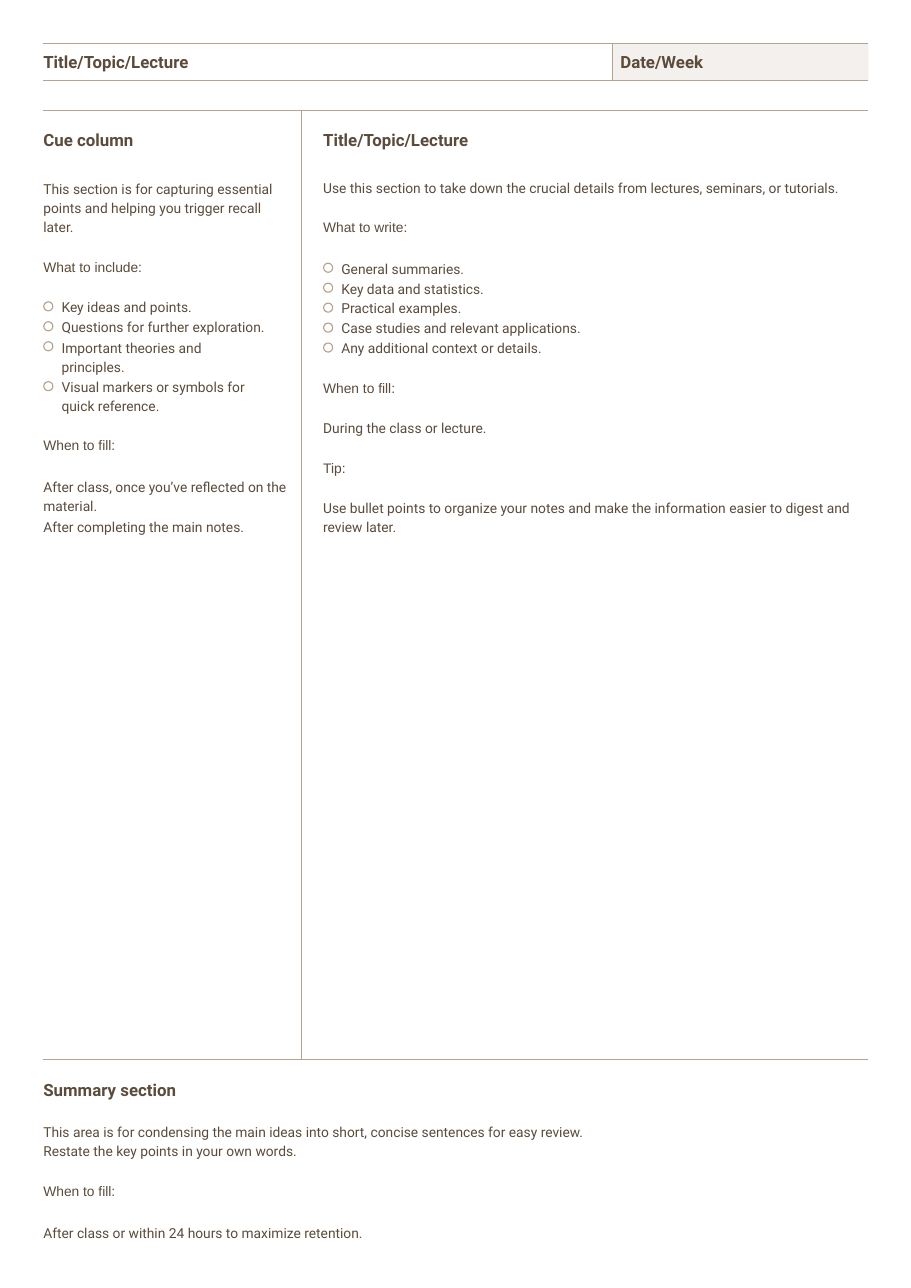
from collections import namedtuple

from lxml import etree
from pptx import Presentation
from pptx import util as u
from pptx.dml.color import RGBColor
from pptx.enum import shapes, text
from pptx.oxml.ns import qn

BROWN, SAND, CREAM = "5B4B3B", "B7A38D", "F4F0ED"
LABEL_HEIGHT = 0.86
LINE_PITCH = 0.46
NOTE_HEIGHT = 0.39

Box = namedtuple("Box", "left top width height")


def colour(code):
    return RGBColor.from_string(code)


def add_rule(page, x1, y1, x2, y2):
    rule = page.shapes.add_connector(
        shapes.MSO_CONNECTOR.STRAIGHT, u.Cm(x1), u.Cm(y1), u.Cm(x2), u.Cm(y2))
    rule.line.color.rgb = colour(SAND)
    rule.line.width = u.Pt(0.75)
    etree.SubElement(rule._element.spPr, qn("a:effectLst"))


def add_text(page, box, lines, size=9, face="Roboto", bold=False, grow=False):
    frame = page.shapes.add_textbox(*map(u.Cm, box)).text_frame
    frame.word_wrap = True
    frame.vertical_anchor = text.MSO_ANCHOR.MIDDLE
    frame.margin_left = frame.margin_right = frame.margin_top = frame.margin_bottom = 0
    if grow:
        frame.auto_size = text.MSO_AUTO_SIZE.SHAPE_TO_FIT_TEXT
    for index, line in enumerate(lines):
        para = frame.add_paragraph() if index else frame.paragraphs[0]
        if grow:
            para.line_spacing = 1.15
        span = para.add_run()
        span.text = line
        span.font.size = u.Pt(size)
        span.font.name = face
        span.font.bold = bold
        span.font.color.rgb = colour(BROWN)


def add_heading(page, left, top, width, words):
    add_text(page, Box(left, top, width, LABEL_HEIGHT), [words], size=11, bold=True)


def add_prompt(page, left, top, width, words):
    add_text(page, Box(left, top, width, LABEL_HEIGHT), [words], face="Arial")


def add_note(page, left, top, width, lines, rows=1, face="Roboto"):
    height = NOTE_HEIGHT + (rows - 1) * LINE_PITCH
    add_text(page, Box(left, top, width, height), lines, face=face, grow=True)


def add_checklist(page, left, top, width, items):
    for item in items:
        ring = page.shapes.add_shape(
            shapes.MSO_SHAPE.OVAL, u.Cm(left + 0.01), u.Cm(top + 0.1), u.Cm(0.21), u.Cm(0.21))
        ring.shadow.inherit = False
        ring.fill.background()
        ring.line.color.rgb = colour(SAND)
        ring.line.width = u.Pt(0.75)
        add_note(page, left + 0.42, top, width - 0.42, item, rows=len(item))
        top += LINE_PITCH * len(item)


def add_header(page, box):
    right, bottom = box.left + box.width, box.top + box.height
    divider = 14.12
    shade = page.shapes.add_shape(
        shapes.MSO_SHAPE.RECTANGLE, u.Cm(divider), u.Cm(box.top),
        u.Cm(right - divider), u.Cm(box.height))
    shade.shadow.inherit = False
    shade.fill.solid()
    shade.fill.fore_color.rgb = colour(CREAM)
    shade.line.fill.background()
    for y in (box.top, bottom):
        add_rule(page, box.left, y, right, y)
    add_rule(page, divider, box.top, divider, bottom)
    add_heading(page, box.left, box.top, divider - box.left, "Title/Topic/Lecture")
    add_heading(page, divider + 0.18, box.top, right - divider - 0.18, "Date/Week")


def add_frame(page, box, divider):
    bottom = box.top + box.height
    for y in (box.top, bottom):
        add_rule(page, box.left, y, box.left + box.width, y)
    add_rule(page, divider, box.top, divider, bottom)


def add_cue_column(page, box):
    left, top, width, _ = box
    add_heading(page, left, top + 0.25, width, "Cue column")
    add_note(page, left, top + 1.57, width, [
        "This section is for capturing essential points and helping you trigger recall later."], rows=3)
    add_prompt(page, left, top + 3.18, width, "What to include:")
    add_checklist(page, left, top + 4.32, width, [
        ["Key ideas and points."],
        ["Questions for further exploration."],
        ["Important theories and", "principles."],
        ["Visual markers or symbols for", "quick reference."],
    ])
    add_prompt(page, left, top + 7.29, width, "When to fill:")
    add_note(page, left, top + 8.46, width, [
        "After class, once you’ve reflected on the material."], rows=2)
    add_note(page, left, top + 9.4, width, ["After completing the main notes."])


def add_notes_column(page, box):
    left, top, width, _ = box
    add_heading(page, left, top + 0.25, width, "Title/Topic/Lecture")
    add_note(page, left, top + 1.57, width, [
        "Use this section to take down the crucial details from lectures, seminars, or tutorials."])
    add_prompt(page, left, top + 2.26, width, "What to write:")
    add_checklist(page, left, top + 3.43, width, [
        ["General summaries."],
        ["Key data and statistics."],
        ["Practical examples."],
        ["Case studies and relevant applications."],
        ["Any additional context or details."],
    ])
    closing = [
        ("When to fill:", "Arial", 1),
        ("During the class or lecture.", "Roboto", 1),
        ("Tip:", "Arial", 1),
        ("Use bullet points to organize your notes and make the information "
         "easier to digest and review later.", "Roboto", 2),
    ]
    for index, (words, face, rows) in enumerate(closing):
        add_note(page, left, top + 6.18 + index * 2 * LINE_PITCH, width, [words], rows, face)


def add_summary(page, box):
    left, top, width, _ = box
    add_heading(page, left, top + 0.28, width, "Summary section")
    add_note(page, left, top + 1.43, width, [
        "This area is for condensing the main ideas into short, concise sentences for easy review.",
        "Restate the key points in your own words."], rows=2)
    add_note(page, left, top + 2.82, width, ["When to fill:"], face="Arial")
    add_note(page, left, top + 3.79, width, [
        "After class or within 24 hours to maximize retention."])


def main():
    deck = Presentation()
    deck.slide_width, deck.slide_height = u.Cm(21), u.Cm(29.7)
    page = deck.slides.add_slide(deck.slide_layouts[6])

    # Title and date strip
    add_header(page, Box(1, 1, 19.02, 0.86))

    # Ruled frame with the two columns
    add_frame(page, Box(1, 2.54, 19.02, 21.89), divider=6.95)
    add_cue_column(page, Box(1, 2.54, 5.72, 21.89))
    add_notes_column(page, Box(7.45, 2.54, 12.55, 21.89))

    # Summary at the foot
    add_summary(page, Box(1, 24.43, 19.02, 5.27))

    deck.save("out.pptx")


if __name__ == "__main__":
    main()
